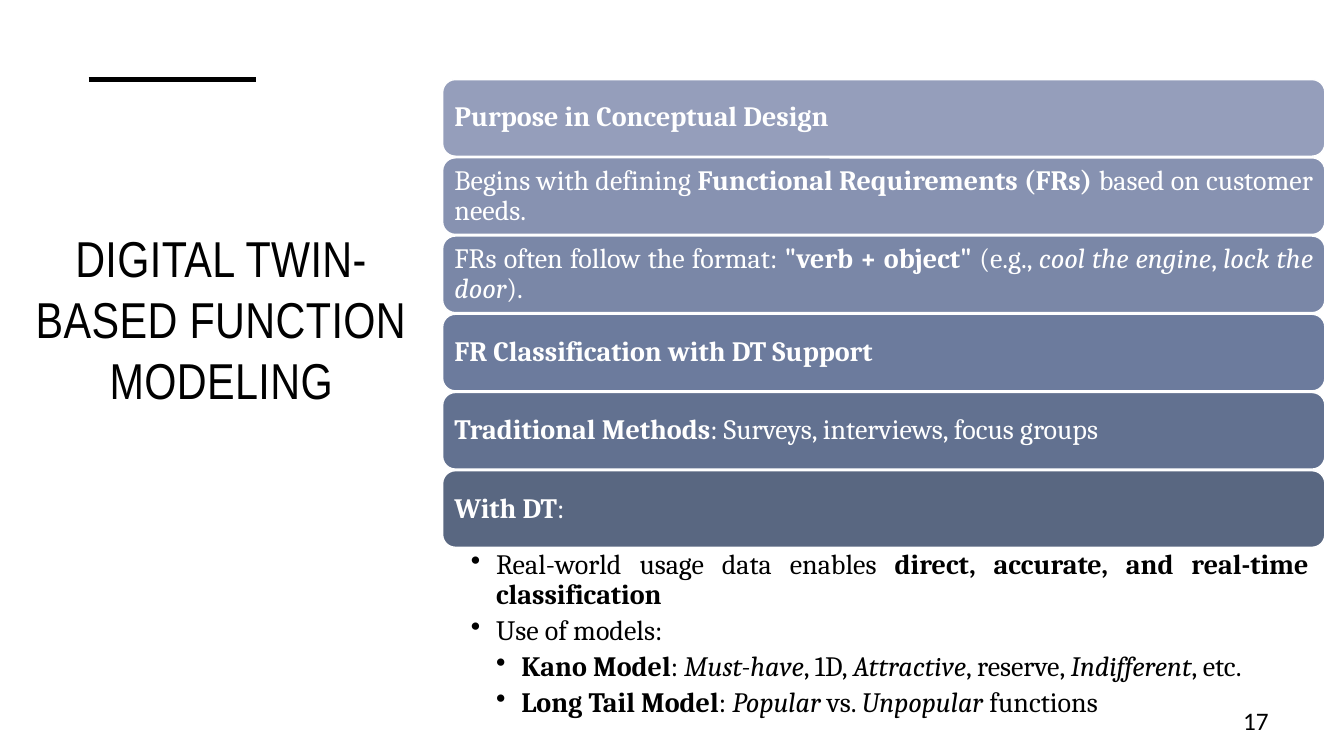
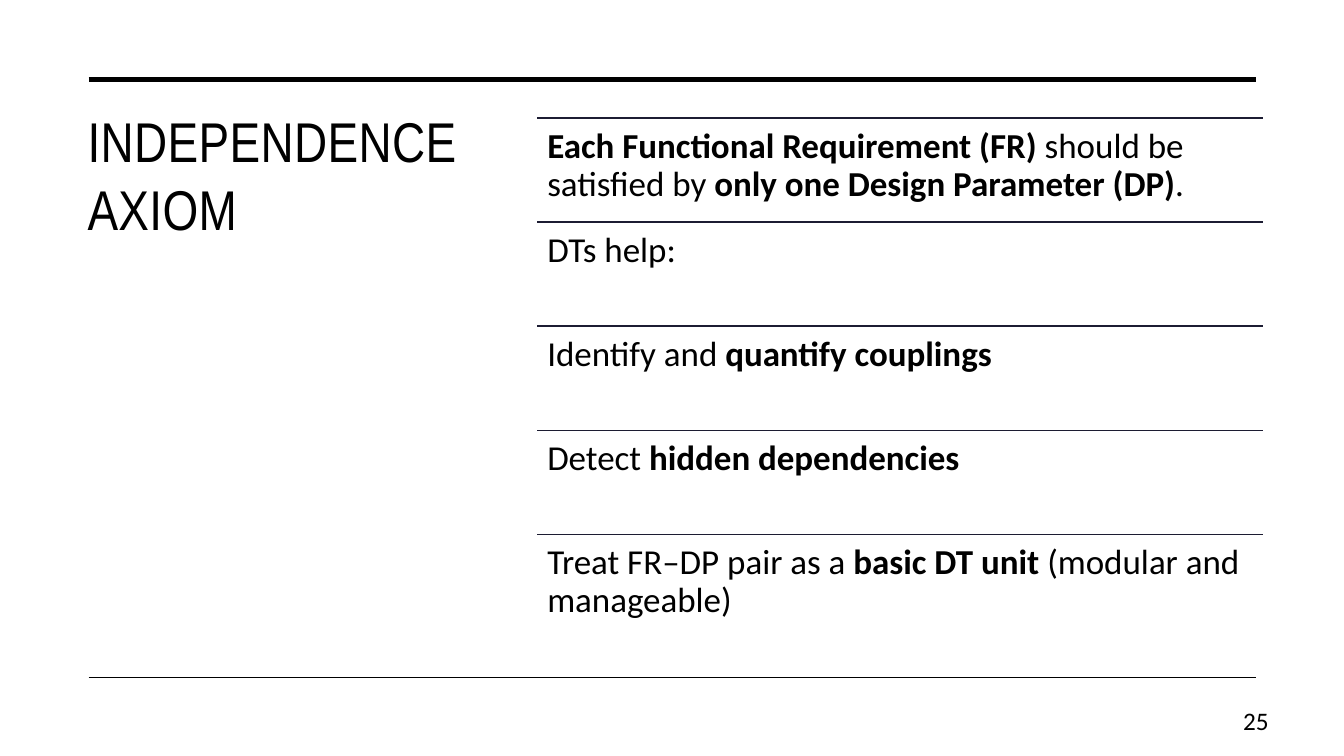
from dataclasses import dataclass

from lxml import etree
from pptx import Presentation
from pptx.dml.color import RGBColor
from pptx.enum import shapes, text
from pptx.oxml import ns
from pptx.util import Inches, Pt


@dataclass(frozen=True)
class Theme:
    ink: str = "000000"
    paper: str = "FFFFFF"
    rule: str = "1C1C32"
    head: str = "Arial Narrow"
    serif: str = "Cambria"
    sans: str = "Calibri"
    body: int = 20
    row: int = 25
    page: int = 18


T = Theme()
ALIGN = text.PP_ALIGN
MID = text.MSO_ANCHOR.MIDDLE

# Content: *bold* and _italic_ marks
BARS = [
    ("959EBB", "*Purpose in Conceptual Design*"),
    ("8792B1", "Begins with defining *Functional Requirements (FRs)* "
               "based on customer needs."),
    ("7A87A7", "FRs often follow the format: *\"verb + object\"* "
               "(e.g., _cool the engine_, _lock the door_)."),
    ("6C7B9D", "*FR Classification with DT Support*"),
    ("627190", "*Traditional Methods*: Surveys, interviews, focus groups"),
    ("596781", "*With DT*:"),
]
POINTS = [
    (1, "Real-world usage data enables "
        "*direct, accurate, and real-time classification*"),
    (1, "Use of models:"),
    (2, "*Kano Model*: _Must-have_, 1D, _Attractive_, reserve, "
        "_Indifferent_, etc."),
    (2, "*Long Tail Model*: _Popular_ vs. _Unpopular_ functions"),
]
ROWS = [
    "*Each Functional Requirement (FR)* should be satisfied by "
    "*only one Design Parameter (DP)*.",
    "DTs help:",
    "Identify and *quantify couplings*",
    "Detect *hidden dependencies*",
    "Treat FR–DP pair as a *basic DT unit* (modular and manageable)",
]


# Text helpers
def rgb(code):
    return RGBColor.from_string(code)


def style(para, face, size, color=T.ink, align=ALIGN.LEFT, lead=None):
    para.font.name = face
    para.font.size = Pt(size)
    para.font.color.rgb = rgb(color)
    para.alignment = align
    if lead:
        para.line_spacing = lead


def write(para, marked):
    for i, part in enumerate(marked.split("*")):
        for j, piece in enumerate(part.split("_")):
            if piece:
                run = para.add_run()
                run.text = piece
                if i % 2:
                    run.font.bold = True
                if j % 2:
                    run.font.italic = True


def bullet(para, level):
    props = para._p.get_or_add_pPr()
    props.set("marL", str(Inches(0.25 * level)))
    props.set("indent", str(Inches(-0.25)))
    etree.SubElement(props, ns.qn("a:buChar")).set("char", "•")


def setup(frame, pads=(0.1, 0.05, 0.1, 0.05), anchor=text.MSO_ANCHOR.TOP):
    frame.word_wrap = True
    frame.vertical_anchor = anchor
    (frame.margin_left, frame.margin_top,
     frame.margin_right, frame.margin_bottom) = map(Inches, pads)
    return frame


def box(slide, spot, **opts):
    return setup(slide.shapes.add_textbox(*map(Inches, spot)).text_frame, **opts)


# Shared parts
def line(slide, left, right, y, width=1, color=T.ink):
    rule = slide.shapes.add_connector(
        shapes.MSO_CONNECTOR.STRAIGHT,
        *map(Inches, (left, y, right, y)))
    rule.line.width = Pt(width)
    rule.line.color.rgb = rgb(color)
    etree.SubElement(rule._element.spPr, ns.qn("a:effectLst"))


def start(deck, title, spot, size, align, end, page):
    slide = deck.slides.add_slide(deck.slide_layouts[6])
    para = box(slide, spot).paragraphs[0]
    write(para, title)
    style(para, T.head, size, align=align, lead=Pt(round(size * 1.21, 1)))
    for run in para.runs:
        run._r.get_or_add_rPr().set("spc", "30")
    line(slide, 0.88, end, 0.79, 3.5)
    para = box(slide, (11.94, 6.95, 0.74, 0.4), anchor=MID).paragraphs[0]
    write(para, str(page))
    style(para, T.sans, T.page, align=ALIGN.RIGHT)
    return slide


# Slide with stacked bars
def model(deck):
    slide = start(deck, "DIGITAL TWIN-BASED FUNCTION MODELING",
                  (0.1, 2.2, 4.19, 2.11), 36, ALIGN.CENTER, 2.54, 17)
    left, top, wide, step = 4.39, 0.79, 8.75, 0.776
    for i, (fill, words) in enumerate(BARS):
        bar = slide.shapes.add_shape(
            shapes.MSO_SHAPE.ROUNDED_RECTANGLE,
            *map(Inches, (left, top + i * step, wide, 0.76)))
        bar.shadow.inherit = False
        bar.fill.solid()
        bar.fill.fore_color.rgb = rgb(fill)
        bar.line.color.rgb = rgb(T.paper)
        bar.line.width = Pt(1)
        # The rounded corner adds 0.04 to each inset
        frame = setup(bar.text_frame, (0.08, 0.04, 0.08, 0.04), MID)
        para = frame.paragraphs[0]
        write(para, words)
        style(para, T.serif, T.body, T.paper, ALIGN.JUSTIFY, 0.9)

    frame = box(slide, (left, 5.43, wide, 1.59), pads=(0.28, 0.03, 0.16, 0.03))
    for i, (level, words) in enumerate(POINTS):
        para = frame.add_paragraph() if i else frame.paragraphs[0]
        bullet(para, level)
        write(para, words)
        style(para, T.serif, T.body, align=ALIGN.JUSTIFY, lead=0.9)
        para.space_after = Pt(4)


# Slide with ruled rows
def axiom(deck):
    slide = start(deck, "INDEPENDENCE AXIOM", (0.77, 1, 4, 4.82),
                  40, ALIGN.LEFT, 12.46, 25)
    line(slide, 0.88, 12.46, 6.72)
    left, top, wide, step = 5.33, 1.17, 7.2, 1.033
    for i, words in enumerate(ROWS):
        y = top + i * step
        line(slide, left, left + wide, y, color=T.rule)
        para = box(slide, (left, y, wide, step), pads=(0.1,) * 4).paragraphs[0]
        write(para, words)
        style(para, T.sans, T.row, lead=0.9)


def main():
    deck = Presentation()
    deck.slide_width, deck.slide_height = Inches(13.33), Inches(7.5)
    model(deck)
    axiom(deck)
    deck.save("out.pptx")


if __name__ == "__main__":
    main()
